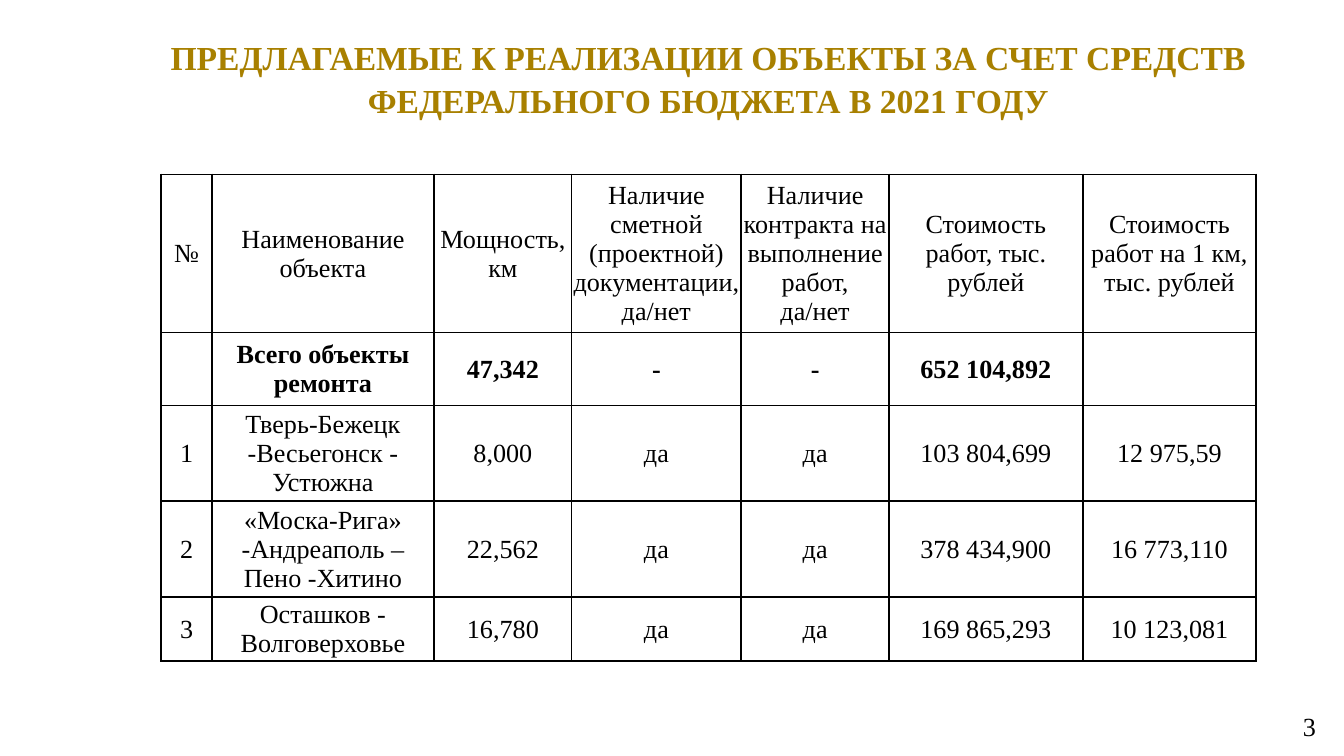
from lxml.etree import SubElement
from pptx import Presentation
from pptx.dml.color import RGBColor
from pptx.enum.text import MSO_ANCHOR as Anchor, PP_ALIGN as Align
from pptx.oxml.ns import qn
from pptx.util import Pt

GOLD = RGBColor(0xA8, 0x80, 0x00)
BLACK = RGBColor(0, 0, 0)

COLUMN_WIDTHS = [27.1, 119.1, 73.7, 90.8, 79.3, 103.7, 93]
ROW_HEIGHTS = [84.6, 39.2, 51.3, 51.3, 34.2]
TOTAL_ROW = 1
ROWS = [
    ["№", "Наименование объекта", "Мощность, км",
     "Наличие сметной (проектной) документации, да/нет",
     "Наличие контракта на выполнение работ,\vда/нет",
     "Стоимость работ, тыс. рублей", "Стоимость работ на 1 км, тыс. рублей"],
    ["", "Всего объекты ремонта", "47,342", "-", "-", "652 104,892", ""],
    ["1", "Тверь-Бежецк -Весьегонск - Устюжна", "8,000", "да", "да", "103 804,699", "12 975,59"],
    ["2", "«Моска-Рига» -Андреаполь – Пено -Хитино", "22,562", "да", "да", "378 434,900", "16 773,110"],
    ["3", "Осташков - Волговерховье", "16,780", "да", "да", "169 865,293", "10 123,081"],
]


class SlideBuilder:
    font_name = "Times New Roman"
    body_size = 14
    cell_margin = 0.6
    border_width = 1

    def __init__(self, page):
        self.page = page

    def fill_frame(self, frame, text, size, color, align, bold=False):
        frame.text = text
        for para in frame.paragraphs:
            para.alignment = align
            for span in para.runs:
                span.font.name = self.font_name
                span.font.size = Pt(size)
                span.font.bold = bold
                span.font.color.rgb = color

    def text(self, bounds, text, size, color, align, anchor, bold=False, spacing=1.0):
        box = self.page.shapes.add_textbox(*map(Pt, bounds))
        frame = box.text_frame
        frame.word_wrap = True
        frame.vertical_anchor = anchor
        self.fill_frame(frame, text, size, color, align, bold)
        frame.paragraphs[0].line_spacing = spacing
        return frame

    def border(self, cell):
        properties = cell._tc.get_or_add_tcPr()
        for index, side in enumerate(("lnL", "lnR", "lnT", "lnB")):
            line = properties.makeelement(qn(f"a:{side}"), {"w": str(Pt(self.border_width))})
            fill = SubElement(line, qn("a:solidFill"))
            SubElement(fill, qn("a:srgbClr"), val=str(BLACK))
            properties.insert(index, line)

    def table(self, left, top, rows, widths, heights, bold_row):
        shape = self.page.shapes.add_table(
            len(rows), len(widths), Pt(left), Pt(top), Pt(sum(widths)), Pt(sum(heights)))
        table = shape.table
        table.first_row = False
        table.horz_banding = False
        for column, width in zip(table.columns, widths):
            column.width = Pt(width)
        for row, height in zip(table.rows, heights):
            row.height = Pt(height)
        for row_index, values in enumerate(rows):
            for column_index, value in enumerate(values):
                cell = table.cell(row_index, column_index)
                cell.fill.background()
                cell.vertical_anchor = Anchor.MIDDLE
                cell.margin_left = cell.margin_right = cell.margin_top = Pt(self.cell_margin)
                cell.margin_bottom = Pt(0)
                self.fill_frame(cell.text_frame, value, self.body_size, BLACK,
                                Align.CENTER, row_index == bold_row)
                self.border(cell)


def main():
    deck = Presentation()
    deck.slide_width, deck.slide_height = Pt(720), Pt(405)
    builder = SlideBuilder(deck.slides.add_slide(deck.slide_layouts[6]))
    title = builder.text(
        (70.6, 15.1, 617.8, 51.8),
        "ПРЕДЛАГАЕМЫЕ К РЕАЛИЗАЦИИ ОБЪЕКТЫ ЗА СЧЕТ СРЕДСТВ ФЕДЕРАЛЬНОГО БЮДЖЕТА В 2021 ГОДУ",
        18, GOLD, Align.CENTER, Anchor.TOP, bold=True, spacing=1.07)
    title.margin_left = title.margin_right = Pt(5.8)
    title.margin_top = title.margin_bottom = Pt(2.9)
    builder.text((544.3, 378, 167.8, 21.6), "3", builder.body_size, BLACK,
                 Align.RIGHT, Anchor.MIDDLE)
    builder.table(86.4, 93.4, ROWS, COLUMN_WIDTHS, ROW_HEIGHTS, TOTAL_ROW)
    deck.save("out.pptx")


if __name__ == "__main__":
    main()
